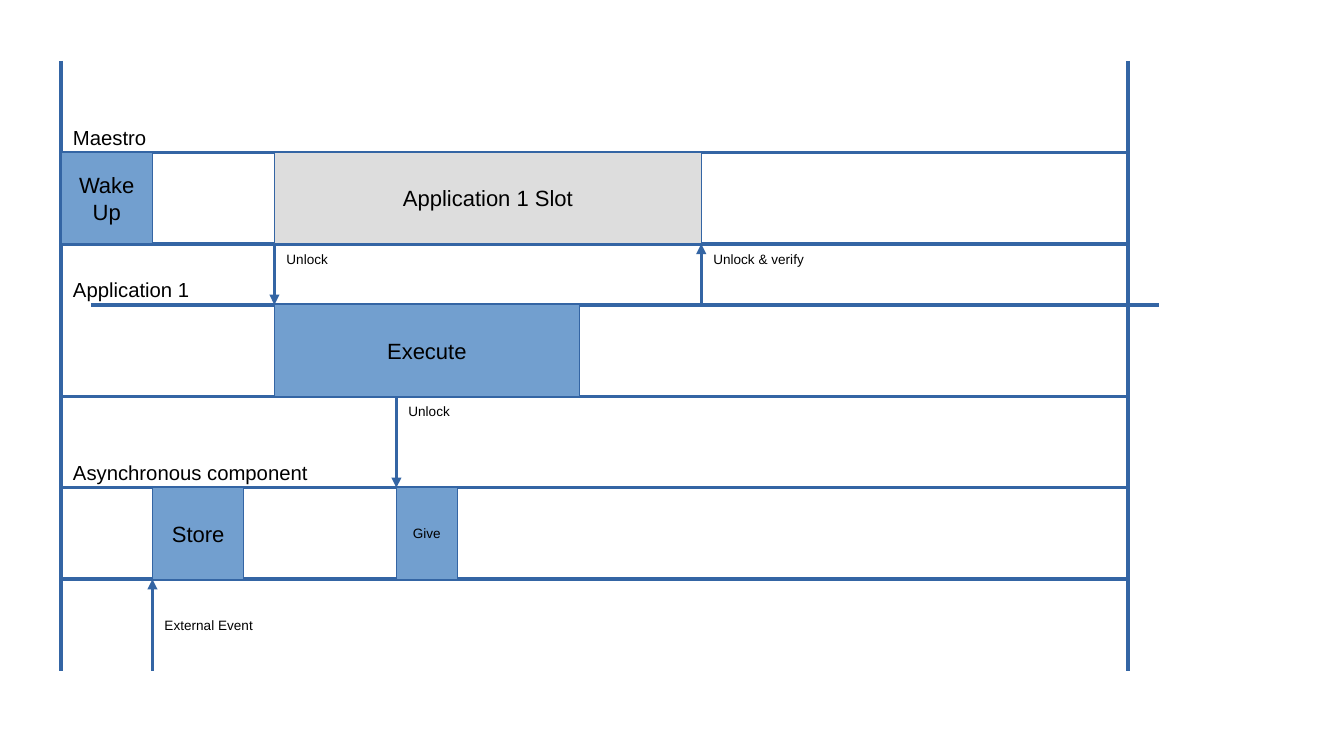
from dataclasses import dataclass

from lxml import etree
from pptx import Presentation
from pptx import util as u
from pptx.dml import color
from pptx.enum import shapes, text
from pptx.oxml import ns


@dataclass(frozen=True)
class Theme:
    font: str = "Arial"
    ink: str = "000000"
    line: str = "3465A4"
    busy: str = "729FCF"
    slot: str = "DDDDDD"
    large: int = 13
    lane: int = 12
    small: int = 8
    width: int = 0


def rgb(code):
    return color.RGBColor.from_string(code)


def write(shape, words, *, font, size, ink, align=text.PP_ALIGN.LEFT):
    frame = shape.text_frame
    frame.word_wrap = True
    frame.vertical_anchor = text.MSO_ANCHOR.MIDDLE
    frame.margin_left = frame.margin_right = u.Inches(0.1)
    frame.margin_top = frame.margin_bottom = u.Inches(0.05)
    para = frame.paragraphs[0]
    para.alignment = align
    run = para.add_run()
    run.text = words
    run.font.name = font
    run.font.size = u.Pt(size)
    run.font.color.rgb = rgb(ink)


class Chart:
    def __init__(self, slide, theme):
        self.slide = slide
        self.theme = theme

    def stroke(self, line):
        line.color.rgb = rgb(self.theme.line)
        line.width = u.Pt(self.theme.width)

    def rule(self, x1, y1, x2, y2):
        line = self.slide.shapes.add_connector(
            shapes.MSO_CONNECTOR.STRAIGHT, *map(u.Inches, (x1, y1, x2, y2)))
        self.stroke(line.line)
        etree.SubElement(line._element.spPr, ns.qn("a:effectLst"))
        return line

    def arrow(self, x, tip, tail):
        line = self.rule(x, tip, x, tail)
        head = etree.SubElement(line.line._get_or_add_ln(), ns.qn("a:headEnd"))
        head.set("type", "triangle")

    def box(self, words, x, y, wide, high, fill, size):
        shape = self.slide.shapes.add_shape(
            shapes.MSO_SHAPE.RECTANGLE, *map(u.Inches, (x, y, wide, high)))
        shape.shadow.inherit = False
        shape.fill.solid()
        shape.fill.fore_color.rgb = rgb(fill)
        self.stroke(shape.line)
        write(shape, words, font=self.theme.font, size=size,
              ink=self.theme.ink, align=text.PP_ALIGN.CENTER)

    def label(self, words, x, y, size, wide=1.25, high=0.25):
        shape = self.slide.shapes.add_textbox(
            *map(u.Inches, (x, y, wide, high)))
        write(shape, words, font=self.theme.font, size=size,
              ink=self.theme.ink)


def main():
    deck = Presentation()
    deck.slide_width, deck.slide_height = u.Inches(11.02), u.Inches(6.2)
    theme = Theme()
    chart = Chart(deck.slides.add_slide(deck.slide_layouts[6]), theme)

    left, right, top, base = 0.5, 9.25, 0.5, 5.5
    high, gap = 0.75, 0.25
    master, app, async_ = 1.25, 2.5, 4

    for x in (left, right):
        chart.rule(x, top, x, base)

    lanes = [
        ("Maestro", master, 1.25, 0),
        ("Application 1", app, 1.25, 0.25),
        ("Asynchronous component", async_, 2.75, 0),
    ]
    for name, y, wide, shift in lanes:
        chart.label(name, left, y - gap, theme.lane, wide)
        chart.rule(right + shift, y, left + shift, y)
        chart.rule(right, y + high, left, y + high)

    tasks = [
        ("Wake Up", left, master, 0.75, theme.busy, theme.large),
        ("Execute", 2.25, app, 2.5, theme.busy, theme.large),
        ("Application 1 Slot", 2.25, master, 3.5, theme.slot, theme.large),
        ("Store", 1.25, async_, 0.75, theme.busy, theme.large),
        ("Give", 3.25, async_, 0.5, theme.busy, theme.small),
    ]
    for name, x, y, wide, fill, size in tasks:
        chart.box(name, x, y, wide, high, fill, size)

    events = [
        ("Unlock", 2.25, app, master + high, master + high),
        ("Unlock & verify", 5.75, master + high, app, master + high),
        ("Unlock", 3.25, async_, app + high, app + high),
        ("External Event", 1.25, async_ + high, base, async_ + high + gap),
    ]
    for name, x, tip, tail, y in events:
        chart.arrow(x, tip, tail)
        chart.label(name, x, y, theme.small)

    deck.save("out.pptx")


if __name__ == "__main__":
    main()
